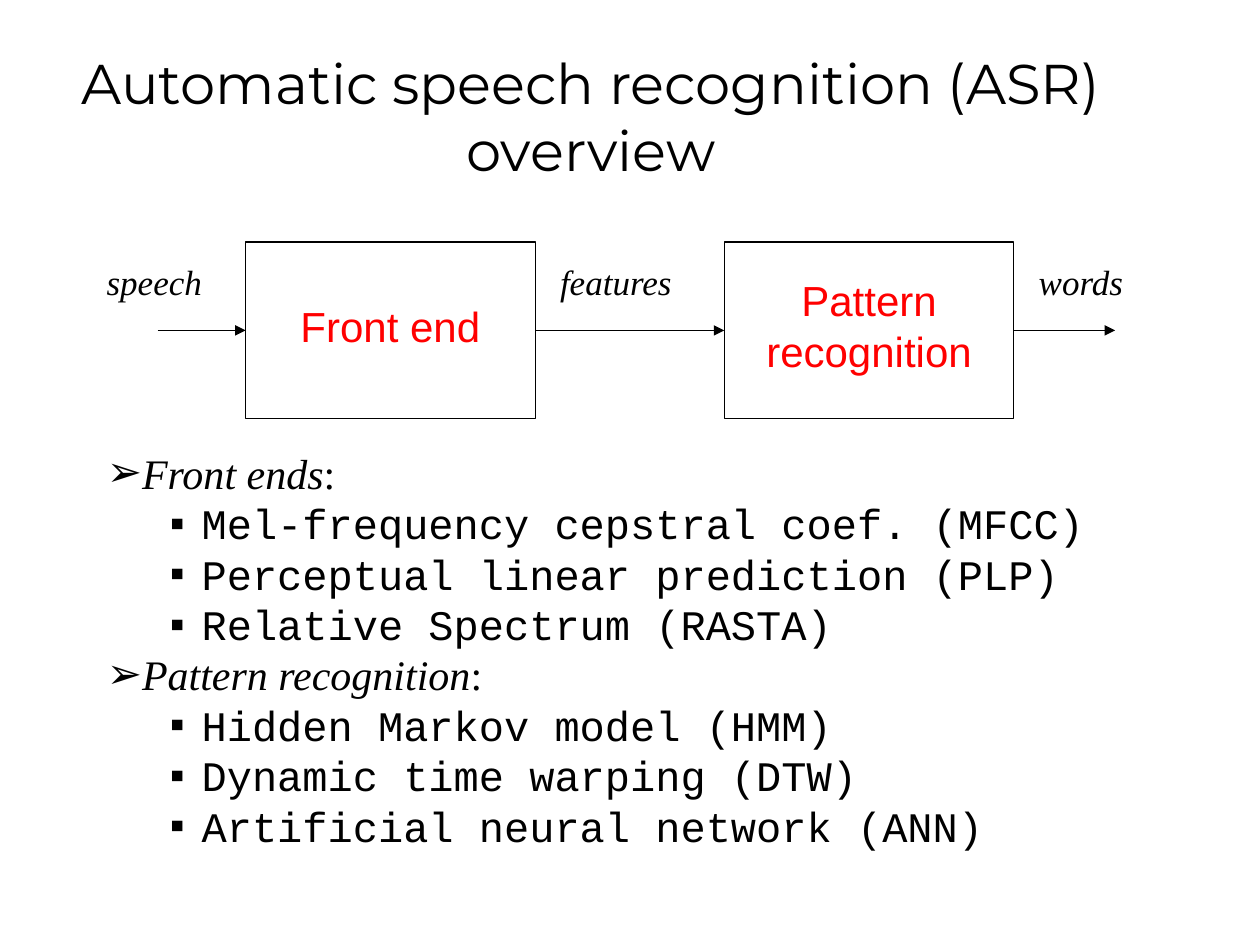
from dataclasses import dataclass

from lxml.etree import SubElement
from pptx import Presentation
from pptx.dml.color import RGBColor
from pptx.enum.shapes import MSO_CONNECTOR, MSO_SHAPE
from pptx.enum.text import MSO_ANCHOR, MSO_AUTO_SIZE, PP_ALIGN
from pptx.oxml.ns import qn
from pptx.util import Cm, Pt

# Content
TITLE = "Automatic speech recognition (ASR) overview"
STAGES = [("Front end", 1.17), ("Pattern recognition", 0.66)]  # text, top inset
SIGNALS = ["speech", "features", "words"]
METHODS = {
    "Front ends": [
        "Mel-frequency cepstral coef. (MFCC)",
        "Perceptual linear prediction (PLP)",
        "Relative Spectrum (RASTA)",
    ],
    "Pattern recognition": [
        "Hidden Markov model (HMM)",
        "Dynamic time warping (DTW)",
        "Artificial neural network (ANN)",
    ],
}


@dataclass(frozen=True)
class Theme:
    ink: RGBColor = RGBColor(0, 0, 0)
    paper: RGBColor = RGBColor(255, 255, 255)
    accent: RGBColor = RGBColor(255, 0, 0)
    title_font: str = "Montserrat"
    stage_font: str = "Arial"
    serif_font: str = "Times New Roman"
    mono_font: str = "Courier New"
    title_size: int = 32
    text_size: int = 24
    signal_size: int = 20
    leading: float = 1.2
    line_width: float = 0.75


THEME = Theme()

# Diagram grid, in centimetres
STAGE_LEFT, STAGE_TOP, STAGE_WIDTH, STAGE_HEIGHT = 4.95, 4.88, 5.84, 3.56
STAGE_GAP = 3.81
FLOW_START, FLOW_END = 3.18, 22.48
FLOW_Y = STAGE_TOP + STAGE_HEIGHT / 2
SIGNAL_TOP, SIGNAL_HEIGHT = 5.13, 1.27
SIGNAL_WIDTHS = [2.79, 3.05, 2.79]
FIRST_SIGNAL_LEFT, SIGNAL_OFFSET = 1.9, 0.25


def style(paragraph, font_name, size, color, italic=False):
    font = paragraph.font
    font.name, font.size, font.italic = font_name, Pt(size), italic
    font.color.rgb = color


def place(shape, left, top, width, height):
    shape.left, shape.top = Cm(left), Cm(top)
    shape.width, shape.height = Cm(width), Cm(height)


def add_box(slide, left, top, width, height, text):
    box = slide.shapes.add_shape(
        MSO_SHAPE.RECTANGLE, Cm(left), Cm(top), Cm(width), Cm(height))
    box.shadow.inherit = False
    box.fill.solid()
    box.fill.fore_color.rgb = THEME.paper
    box.line.fill.background()
    box.text_frame.word_wrap = True
    box.text_frame.vertical_anchor = MSO_ANCHOR.TOP
    box.text_frame.text = text
    return box


def add_arrow(slide, start, end):
    arrow = slide.shapes.add_connector(
        MSO_CONNECTOR.STRAIGHT, Cm(start), Cm(FLOW_Y), Cm(end), Cm(FLOW_Y))
    arrow.line.color.rgb = THEME.ink
    arrow.line.width = Pt(THEME.line_width)
    SubElement(arrow.line._get_or_add_ln(), qn("a:tailEnd"), type="triangle")
    SubElement(arrow._element.spPr, qn("a:effectLst"))


def add_item(frame, level, left, bullet, font_name, text, italic=False):
    first = frame.paragraphs[0]
    paragraph = frame.add_paragraph() if first.runs else first
    paragraph.level = level
    paragraph.alignment = PP_ALIGN.LEFT
    paragraph.line_spacing = Pt(THEME.text_size * THEME.leading)
    paragraph.space_before = paragraph.space_after = Pt(0)
    properties = paragraph._p.get_or_add_pPr()
    properties.set("marL", str(Cm(left)))
    properties.set("indent", str(Cm(-0.64)))
    SubElement(properties, qn("a:buFont"), typeface=THEME.stage_font)
    SubElement(properties, qn("a:buChar"), char=bullet)
    style(paragraph, font_name, THEME.text_size, THEME.ink, italic)
    paragraph.add_run().text = text
    return paragraph


presentation = Presentation()
presentation.slide_width, presentation.slide_height = Cm(25.4), Cm(19.05)
slide = presentation.slides.add_slide(presentation.slide_layouts[1])

# Title
title = slide.shapes.title
place(title, 1.12, 0.64, 21.59, 3.18)
title.text_frame.text = TITLE
title.text_frame.auto_size = MSO_AUTO_SIZE.NONE
title.text_frame.vertical_anchor = MSO_ANCHOR.BOTTOM
title.text_frame.paragraphs[0].alignment = PP_ALIGN.CENTER
style(title.text_frame.paragraphs[0], THEME.title_font, THEME.title_size, THEME.ink)

# Processing stages
stage_lefts = [STAGE_LEFT + i * (STAGE_WIDTH + STAGE_GAP) for i in range(len(STAGES))]
stage_rights = [left + STAGE_WIDTH for left in stage_lefts]
for left, (name, inset) in zip(stage_lefts, STAGES):
    stage = add_box(slide, left, STAGE_TOP, STAGE_WIDTH, STAGE_HEIGHT, name)
    stage.line.color.rgb = THEME.ink
    stage.line.width = Pt(THEME.line_width)
    stage.text_frame.margin_top = Cm(inset)
    caption = stage.text_frame.paragraphs[0]
    caption.alignment = PP_ALIGN.CENTER
    caption.line_spacing = Pt(THEME.text_size * THEME.leading)
    style(caption, THEME.stage_font, THEME.text_size, THEME.accent)

# Arrows into, between and out of the stages
for start, end in zip([FLOW_START] + stage_rights, stage_lefts + [FLOW_END]):
    add_arrow(slide, start, end)

# Signal names above the arrows
signal_lefts = [FIRST_SIGNAL_LEFT] + [right + SIGNAL_OFFSET for right in stage_rights]
for name, left, width in zip(SIGNALS, signal_lefts, SIGNAL_WIDTHS):
    signal = add_box(slide, left, SIGNAL_TOP, width, SIGNAL_HEIGHT, name)
    label = signal.text_frame.paragraphs[0]
    label.alignment = PP_ALIGN.LEFT
    label.line_spacing = Pt(THEME.signal_size * THEME.leading)
    style(label, THEME.serif_font, THEME.signal_size, THEME.ink, italic=True)

# Methods for each stage
body = slide.placeholders[1]
place(body, 0, 8.89, 22.71, 8.38)
body.text_frame.auto_size = MSO_AUTO_SIZE.NONE
for heading, methods in METHODS.items():
    line = add_item(body.text_frame, 1, 2.54, "➢", THEME.serif_font, heading, italic=True)
    colon = line.add_run()
    colon.text = ":"
    colon.font.italic = False
    for method in methods:
        add_item(body.text_frame, 2, 3.81, "▪", THEME.mono_font, method)

presentation.save("out.pptx")
